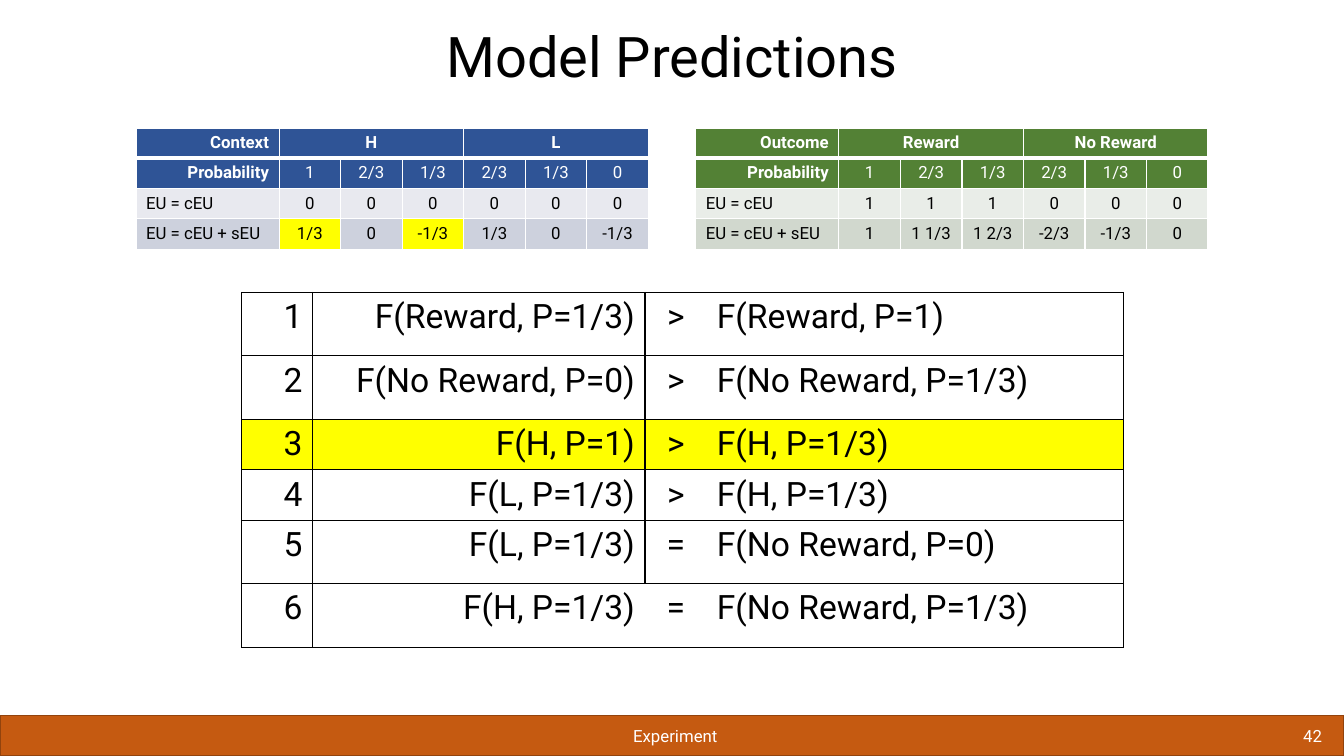
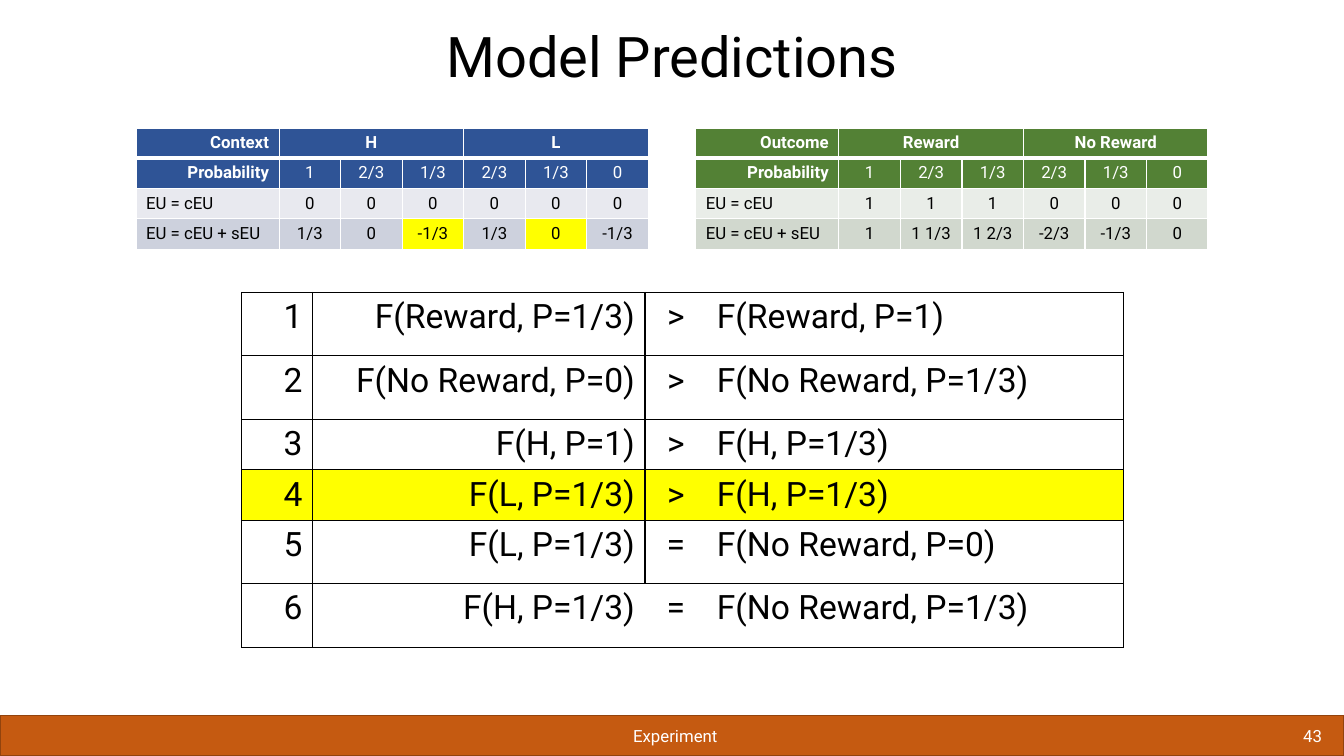
"""Build the two model prediction slides."""
import dataclasses

import lxml.etree
import pptx
import pptx.dml.color
import pptx.enum.shapes
import pptx.enum.text
import pptx.oxml.ns
import pptx.util

ALIGN = pptx.enum.text.PP_ALIGN
ANCHOR = pptx.enum.text.MSO_ANCHOR


@dataclasses.dataclass(frozen=True)
class Theme:
    """Colours, type sizes and table style of the deck."""

    font: str = "Roboto"
    ink: str = "000000"
    paper: str = "FFFFFF"
    band: str = "C55A11"
    band_edge: str = "92430D"
    mark: str = "FFFF00"
    blue: tuple = ("2F5496", "2F5496", "E8E9EF", "CDD1DD")
    green: tuple = ("538135", "538135", "E9EDE8", "D1D8CE")
    title_size: int = 40
    claim_size: int = 24
    small_size: int = 12
    plain_table: str = "{2D5ABB26-0587-4C30-8999-92F81FD0307C}"


THEME = Theme()
VALUE_COLUMNS = [10.65] + [4.58] * 6
CLAIM_COLUMNS = [5.25, 24.75, 4.6, 31]
CLAIM_ROWS = [8.4, 8.4, 6.5, 6.5, 8.4, 8.4]
PROBABILITIES = ["Probability", "1", "2/3", "1/3", "2/3", "1/3", "0"]
CONTEXT = [
    ["Context", "H", "", "", "L", "", ""],
    PROBABILITIES,
    ["EU = cEU", "0", "0", "0", "0", "0", "0"],
    ["EU = cEU + sEU", "1/3", "0", "-1/3", "1/3", "0", "-1/3"],
]
OUTCOME = [
    ["Outcome", "Reward", "", "", "No Reward", "", ""],
    PROBABILITIES,
    ["EU = cEU", "1", "1", "1", "0", "0", "0"],
    ["EU = cEU + sEU", "1", "1 1/3", "1 2/3", "-2/3", "-1/3", "0"],
]
CLAIMS = [
    ["1", "F(Reward, P=1/3)", ">", "F(Reward, P=1)"],
    ["2", "F(No Reward, P=0)", ">", "F(No Reward, P=1/3)"],
    ["3", "F(H, P=1)", ">", "F(H, P=1/3)"],
    ["4", "F(L, P=1/3)", ">", "F(H, P=1/3)"],
    ["5", "F(L, P=1/3)", "=", "F(No Reward, P=0)"],
    ["6", "F(H, P=1/3)", "=", "F(No Reward, P=1/3)"],
]


def colour(code):
    """Turn a hex code into a colour."""
    return pptx.dml.color.RGBColor.from_string(code)


def write_text(frame, text, size=THEME.small_size, ink=THEME.ink, bold=False,
               align=ALIGN.LEFT, anchor=ANCHOR.TOP, spacing=None):
    """Write one formatted paragraph into a text frame."""
    frame.word_wrap = True
    frame.vertical_anchor = anchor
    para = frame.paragraphs[0]
    para.alignment = align
    para.line_spacing = spacing
    span = para.add_run()
    span.text = text
    span.font.name = THEME.font
    span.font.size = pptx.util.Pt(size)
    span.font.bold = bold
    span.font.color.rgb = colour(ink)


def style_cell(cell, fill, ink, widths):
    """Fill a cell and draw its left, right, top and bottom borders."""
    properties = cell._tc.get_or_add_tcPr()
    for side, width in zip("LRTB", widths):
        line = lxml.etree.SubElement(properties, pptx.oxml.ns.qn(f"a:ln{side}"),
                                     w=str(pptx.util.Pt(width)))
        if width:
            solid = lxml.etree.SubElement(line, pptx.oxml.ns.qn("a:solidFill"))
            lxml.etree.SubElement(solid, pptx.oxml.ns.qn("a:srgbClr"), val=ink)
        else:
            lxml.etree.SubElement(line, pptx.oxml.ns.qn("a:noFill"))
    cell.fill.solid()
    cell.fill.fore_color.rgb = colour(fill)


class Slides:
    """Holds the deck and its current page; lengths are percent of the slide."""

    def __init__(self):
        """Start an empty widescreen deck."""
        self.deck = pptx.Presentation()
        self.deck.slide_width = pptx.util.Inches(13.33)
        self.deck.slide_height = pptx.util.Inches(7.5)
        self.page = None

    def across(self, share):
        """Turn a percentage into a horizontal length."""
        return round(self.deck.slide_width * share / 100)

    def down(self, share):
        """Turn a percentage into a vertical length."""
        return round(self.deck.slide_height * share / 100)

    def place(self, left, top, width, height):
        """Turn four percentages into a position and size."""
        return (self.across(left), self.down(top),
                self.across(width), self.down(height))

    def text(self, area, text, **form):
        """Add a text box."""
        box = self.page.shapes.add_textbox(*self.place(*area))
        write_text(box.text_frame, text, **form)

    def start(self, title, section, number):
        """Add a page with its title and footer band."""
        self.page = self.deck.slides.add_slide(self.deck.slide_layouts[6])
        band = self.page.shapes.add_shape(
            pptx.enum.shapes.MSO_SHAPE.RECTANGLE, *self.place(0, 94.67, 100, 5.33))
        band.shadow.inherit = False
        band.fill.solid()
        band.fill.fore_color.rgb = colour(THEME.band)
        band.line.color.rgb = colour(THEME.band_edge)
        band.line.width = pptx.util.Pt(1)
        self.text((5, 3.07, 90, 9.47), title, size=THEME.title_size,
                  align=ALIGN.CENTER, anchor=ANCHOR.BOTTOM, spacing=0.9)
        footer = {"ink": THEME.paper, "anchor": ANCHOR.MIDDLE}
        self.text((16.8, 94.67, 66.9, 5.33), section, align=ALIGN.CENTER, **footer)
        self.text((83.65, 94.67, 15.45, 5.33), str(number), align=ALIGN.RIGHT, **footer)

    def table(self, left, top, columns, rows):
        """Add an unstyled table with the given column and row sizes."""
        frame = self.page.shapes.add_table(
            len(rows), len(columns), *self.place(left, top, sum(columns), sum(rows)))
        table = frame.table
        table.first_row = table.horz_banding = False
        for style in frame._element.iter(pptx.oxml.ns.qn("a:tableStyleId")):
            style.text = THEME.plain_table
        for column, share in zip(table.columns, columns):
            column.width = self.across(share)
        for row, share in zip(table.rows, rows):
            row.height = self.down(share)
        return table

    def values(self, left, content, fills, marked=()):
        """Add a table of expected utilities, marking columns of its last row."""
        table = self.table(left, 16.93, VALUE_COLUMNS, [3.9] * len(content))
        last = len(content) - 1
        for first in (1, 4):
            table.cell(0, first).merge(table.cell(0, first + 2))
        for row, texts in enumerate(content):
            header = row < 2
            widths = (1, 1, 3 if row == 1 else 1, 3 if row == 0 else 1)
            for column, text in enumerate(texts):
                cell = table.cell(row, column)
                fill = THEME.mark if row == last and column in marked else fills[row]
                style_cell(cell, fill, THEME.paper, widths)
                if text:
                    label = ALIGN.RIGHT if header else ALIGN.LEFT
                    write_text(cell.text_frame, text,
                               ink=THEME.paper if header else THEME.ink,
                               bold=row == 0 or (header and column == 0),
                               align=ALIGN.CENTER if column else label)

    def claims(self, marked):
        """Add the table of predictions, marking one row."""
        table = self.table(18, 38.67, CLAIM_COLUMNS, CLAIM_ROWS)
        aligns = (ALIGN.RIGHT, ALIGN.RIGHT, ALIGN.CENTER, ALIGN.LEFT)
        for row, texts in enumerate(CLAIMS):
            divider = int(row < len(CLAIMS) - 1)
            sides = ((1, 1), (1, divider), (divider, 0), (0, 1))
            fill = THEME.mark if texts[0] == marked else THEME.paper
            for column, text in enumerate(texts):
                cell = table.cell(row, column)
                style_cell(cell, fill, THEME.ink, (*sides[column], 1, 1))
                write_text(cell.text_frame, text, size=THEME.claim_size,
                           align=aligns[column])


def main():
    """Build and save the deck."""
    slides = Slides()
    for number, claim, marked in ((42, "3", (1, 3)), (43, "4", (3, 5))):
        slides.start("Model Predictions", "Experiment", number)
        slides.claims(claim)
        slides.values(10.12, CONTEXT, THEME.blue, marked)
        slides.values(51.77, OUTCOME, THEME.green)
    slides.deck.save("out.pptx")


if __name__ == "__main__":
    main()
